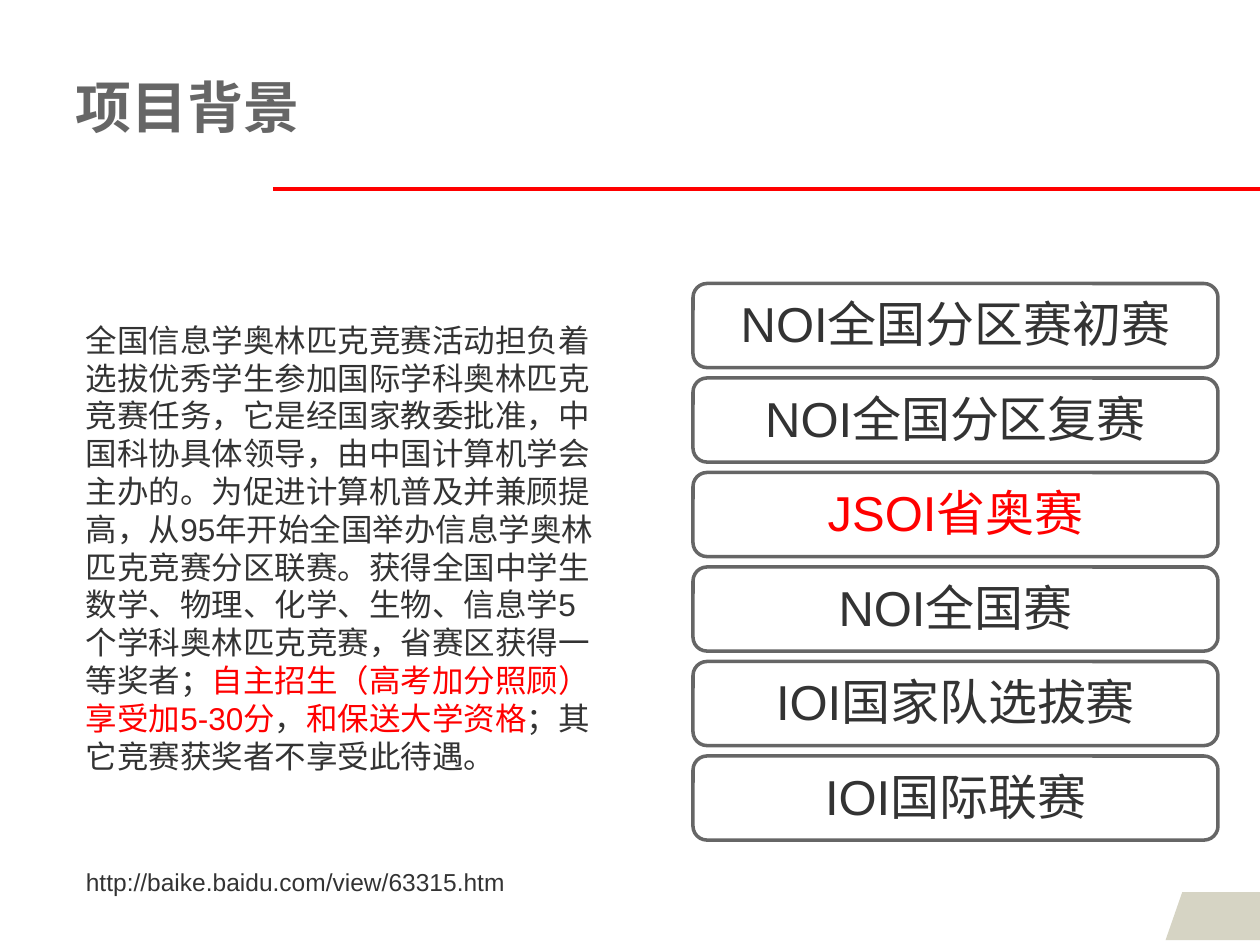
"""Build the project background slide about the informatics olympiad."""
from lxml import etree
from pptx import Presentation
from pptx import util as u
from pptx.dml.color import RGBColor
from pptx.enum import shapes, text
from pptx.oxml.ns import qn

COLORS = {"white": "FFFFFF", "gray": "666666", "ink": "333333", "red": "FF0000", "sand": "C6C3AB"}
COLUMNS, ROWS = 12, 10
BODY = [
    ("全国信息学奥林匹克竞赛活动担负着选拔优秀学生参加国际学科奥林匹克竞赛任务，它是经国家教委批准，"
     "中国科协具体领导，由中国计算机学会主办的。为促进计算机普及并兼顾提高，从95年开始全国举办信息学"
     "奥林匹克竞赛分区联赛。获得全国中学生数学、物理、化学、生物、信息学5个学科奥林匹克竞赛，"
     "省赛区获得一等奖者；", "ink"),
    ("自主招生（高考加分照顾）享受加5-30分", "red"),
    ("，", "ink"),
    ("和保送大学资格", "red"),
    ("；其它竞赛获奖者不享受此待遇。", "ink"),
]
STAGES = [
    ("NOI全国分区赛初赛", "ink"),
    ("NOI全国分区复赛", "ink"),
    ("JSOI省奥赛", "red"),
    ("NOI全国赛", "ink"),
    ("IOI国家队选拔赛", "ink"),
    ("IOI国际联赛", "ink"),
]


class SlideBuilder:
    """Holds the style and the current slide, placing elements on a column and row grid."""

    def __init__(self, presentation, font="Arial"):
        self.column = presentation.slide_width / COLUMNS
        self.row = presentation.slide_height / ROWS
        self.font = font
        self.slide = presentation.slides.add_slide(presentation.slide_layouts[5])

    def point(self, column, row):
        return round(column * self.column), round(row * self.row)

    def box(self, column, row, width, height):
        return *self.point(column, row), *self.point(width, height)

    def color(self, name):
        return RGBColor.from_string(COLORS[name])

    def set_text(self, shape, runs, size, bold=False, align=text.PP_ALIGN.LEFT, anchor=text.MSO_ANCHOR.TOP):
        frame = shape.text_frame
        frame.word_wrap = True
        frame.vertical_anchor = anchor
        paragraph = frame.paragraphs[0]
        paragraph.alignment = align
        paragraph.font.name = self.font
        paragraph.font.size = u.Pt(size)
        paragraph.font.bold = bold
        for words, color in runs:
            run = paragraph.add_run()
            run.text = words
            run.font.color.rgb = self.color(color)
        return paragraph

    def title(self, words, *place):
        shape = self.slide.shapes.title
        shape.left, shape.top, shape.width, shape.height = self.box(*place)
        paragraph = self.set_text(shape, [(words, "gray")], 32, bold=True, anchor=text.MSO_ANCHOR.MIDDLE)
        paragraph.line_spacing = 0.85

    def text_box(self, runs, size, *place):
        shape = self.slide.shapes.add_textbox(*self.box(*place))
        self.set_text(shape, runs, size)

    def stage(self, words, color, *place):
        shape = self.slide.shapes.add_shape(shapes.MSO_SHAPE.ROUNDED_RECTANGLE, *self.box(*place))
        shape.shadow.inherit = False
        shape.fill.solid()
        shape.fill.fore_color.rgb = self.color("white")
        shape.line.color.rgb = self.color("gray")
        shape.line.width = u.Pt(2)
        self.set_text(shape, [(words, color)], 28, align=text.PP_ALIGN.CENTER)

    def rule(self, start, end):
        line = self.slide.shapes.add_connector(
            shapes.MSO_CONNECTOR.STRAIGHT, *self.point(*start), *self.point(*end))
        line.line.color.rgb = self.color("red")
        line.line.width = u.Pt(1.75)
        etree.SubElement(line._element.spPr, qn("a:effectLst"))

    def corner(self, points, opacity):
        first, *others = [self.point(*point) for point in points]
        outline = self.slide.shapes.build_freeform(*first)
        outline.add_line_segments(others, close=True)
        shape = outline.convert_to_shape()
        shape.shadow.inherit = False
        shape.line.fill.background()
        shape.fill.solid()
        shape.fill.fore_color.rgb = self.color("sand")
        color = shape._element.spPr.find(qn("a:solidFill"))[0]
        etree.SubElement(color, qn("a:alpha"), val=str(opacity * 1000))


def main():
    presentation = Presentation()
    presentation.slide_width, presentation.slide_height = u.Inches(10), u.Inches(7.5)
    builder = SlideBuilder(presentation)
    builder.rule((2.6, 2), (COLUMNS, 2))
    builder.corner([(11.26, 9.44), (11.1, 9.95), (COLUMNS, 9.95), (COLUMNS, 9.44)], 70)
    builder.title("项目背景", 0.6, 0.44, 10.8, 1.48)
    builder.text_box(BODY, 18, 0.7, 3.33, 5.2, 4.93)
    for index, (words, color) in enumerate(STAGES):
        builder.stage(words, color, 6.6, 3 + index, 5, 0.89)
    builder.text_box([("http://baike.baidu.com/view/63315.htm", "ink")], 14, 0.7, 9.11, 6, 0.45)
    presentation.save("out.pptx")


if __name__ == "__main__":
    main()
